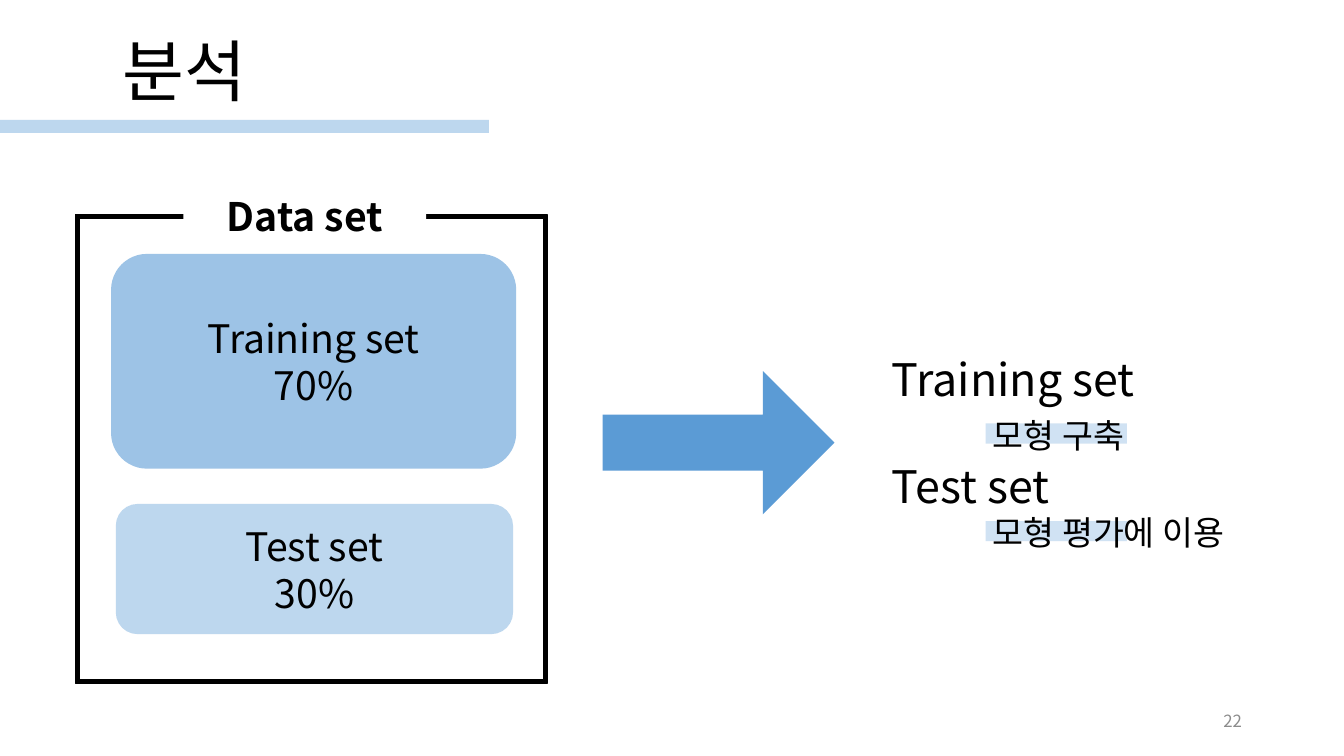
import dataclasses
import typing

import pptx
import pptx.dml.color
import pptx.enum.shapes
import pptx.enum.text
import pptx.oxml
import pptx.oxml.ns
import pptx.util

Cm = pptx.util.Cm
Pt = pptx.util.Pt
Kind = pptx.enum.shapes.MSO_SHAPE
Align = pptx.enum.text.PP_ALIGN
Anchor = pptx.enum.text.MSO_ANCHOR


@dataclasses.dataclass(frozen=True)
class Theme:
    """Colours, font and type sizes of the slide."""
    font: str = "Noto Sans CJK KR"
    ink: str = "000000"
    paper: str = "FFFFFF"
    pale: str = "BDD7EE"
    soft: str = "9DC3E6"
    strong: str = "5B9BD5"
    grey: str = "8C8C8C"
    title: int = 48
    head: int = 32
    body: int = 28
    note: int = 24
    small: int = 12


THEME = Theme()


class Box(typing.NamedTuple):
    """Left, top, width and height in centimetres."""
    left: float
    top: float
    width: float
    height: float


@dataclasses.dataclass(frozen=True)
class Line:
    """One paragraph; indent is in centimetres, gaps in points."""
    text: str
    size: int = THEME.body
    colour: str = THEME.ink
    bold: bool = False
    align: Align = Align.LEFT
    indent: float = 0
    before: int = 0
    after: int = 0


@dataclasses.dataclass(frozen=True)
class Block:
    """A filled preset shape with optional centred lines."""
    kind: Kind
    box: Box
    fill: str
    adjust: tuple[float, ...] = ()
    lines: tuple[Line, ...] = ()
    alpha: int = 100
    edge: bool = False


def rgb(code: str) -> pptx.dml.color.RGBColor:
    """Turn a hex code into a colour."""
    return pptx.dml.color.RGBColor.from_string(code)


def place(box: Box) -> tuple[int, ...]:
    """Turn a box into slide lengths."""
    return tuple(Cm(side) for side in box)


def write(frame: typing.Any, lines: tuple[Line, ...], anchor: Anchor) -> None:
    """Fill a text frame and format its paragraphs."""
    frame.word_wrap = True
    frame.vertical_anchor = anchor
    frame.text = "\n".join(line.text for line in lines)
    for para, line in zip(frame.paragraphs, lines):
        para.alignment = line.align
        para.space_before = Pt(line.before)
        para.space_after = Pt(line.after)
        props = para._p.get_or_add_pPr()
        props.set("marL", str(Cm(line.indent)))
        props.set("indent", "0")
        for run in para.runs:
            font = run.font
            font.name = THEME.font
            font.size = Pt(line.size)
            font.bold = line.bold
            font.color.rgb = rgb(line.colour)
            east = pptx.oxml.parse_xml(
                f'<a:ea {pptx.oxml.ns.nsdecls("a")} typeface="{THEME.font}"/>')
            font._element.find(pptx.oxml.ns.qn("a:latin")).addnext(east)


def draw(slide: typing.Any, block: Block) -> None:
    """Add one block to the slide."""
    shape = slide.shapes.add_shape(block.kind, *place(block.box))
    shape.shadow.inherit = False
    for index, value in enumerate(block.adjust):
        shape.adjustments[index] = value
    shape.fill.solid()
    shape.fill.fore_color.rgb = rgb(block.fill)
    if block.alpha < 100:
        tint = shape._element.spPr.find(".//" + pptx.oxml.ns.qn("a:srgbClr"))
        tint.append(pptx.oxml.parse_xml(
            f'<a:alpha {pptx.oxml.ns.nsdecls("a")} val="{block.alpha * 1000}"/>'))
    if block.edge:
        shape.line.color.rgb = rgb(block.fill)
        shape.line.width = Pt(1)
    else:
        shape.line.fill.background()
    if block.lines:
        write(shape.text_frame, block.lines, Anchor.MIDDLE)


def label(slide: typing.Any, box: Box, lines: tuple[Line, ...],
          anchor: Anchor = Anchor.TOP) -> None:
    """Add a text box to the slide."""
    frame = slide.shapes.add_textbox(*place(box)).text_frame
    write(frame, lines, anchor)


def share(name: str, part: str) -> tuple[Line, ...]:
    """Give the two centred lines of a data share."""
    return tuple(Line(text, align=Align.CENTER) for text in (name, part))


def mark(top: float) -> Block:
    """Give a highlight bar behind a note."""
    return Block(Kind.RECTANGLE, Box(24.84, top, 3.56, 0.51), THEME.pale, alpha=70)


BLOCKS = (
    Block(Kind.RECTANGLE, Box(0, 3.02, 12.32, 0.33), THEME.pale),
    Block(Kind.ROUNDED_RECTANGLE, Box(2.8, 6.4, 10.21, 5.41), THEME.soft,
          lines=share("Training set", "70%")),
    Block(Kind.ROUNDED_RECTANGLE, Box(2.92, 12.7, 10.01, 3.28), THEME.pale,
          lines=share("Test set", "30%")),
    Block(Kind.FRAME, Box(1.9, 5.41, 11.89, 11.81), THEME.ink, (0.008,), edge=True),
    Block(Kind.RECTANGLE, Box(4.62, 4.85, 6.12, 1.19), THEME.paper,
          lines=(Line("Data set", bold=True, align=Align.CENTER),)),
    Block(Kind.RIGHT_ARROW, Box(15.19, 9.35, 5.84, 3.61), THEME.strong, (0.39, 0.5)),
    mark(13.13),
    mark(10.67),
)

STEPS = (
    Line("Training set", THEME.head),
    Line("모형 구축", THEME.note, indent=2.54, before=7, after=2),
    Line("Test set", THEME.head),
    Line("모형 평가에 이용", THEME.note, indent=2.54),
)


def main() -> None:
    """Build and save the slide."""
    deck = pptx.Presentation()
    deck.slide_width, deck.slide_height = Cm(33.87), Cm(19.05)
    slide = deck.slides.add_slide(deck.slide_layouts[6])
    label(slide, Box(2.84, 0.61, 8.71, 2.31), (Line("분석", THEME.title),))
    for block in BLOCKS:
        draw(slide, block)
    label(slide, Box(22.23, 8.74, 10.34, 5.38), STEPS)
    label(slide, Box(23.93, 17.65, 7.62, 1.02),
          (Line("22", THEME.small, THEME.grey, align=Align.RIGHT),), Anchor.MIDDLE)
    deck.save("out.pptx")


main()
